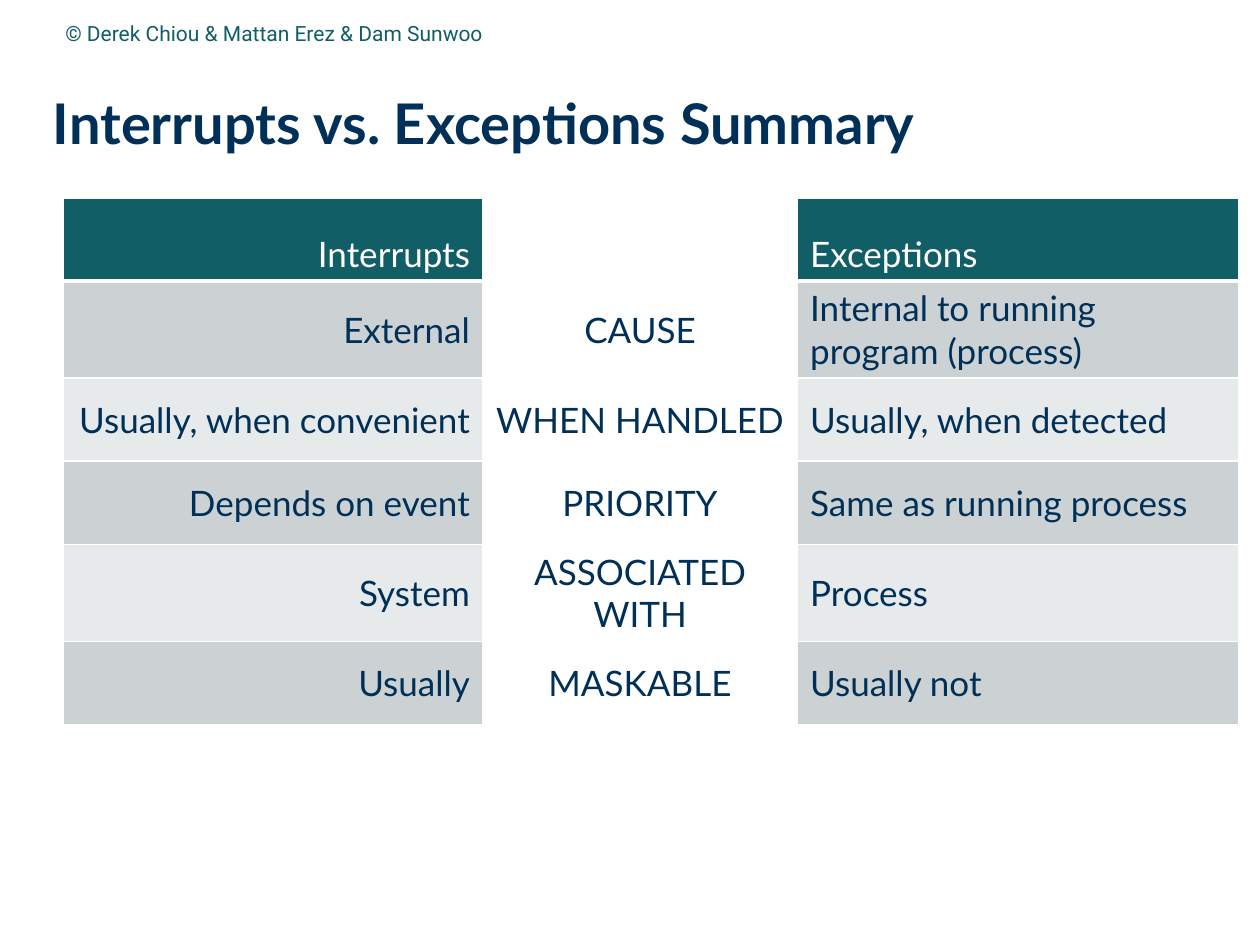
from dataclasses import dataclass

from lxml import etree
from pptx import Presentation
from pptx.dml.color import RGBColor
from pptx.enum.text import MSO_ANCHOR, PP_ALIGN
from pptx.oxml.ns import qn
from pptx.util import Inches, Pt

LEFT, CENTER, RIGHT = PP_ALIGN.LEFT, PP_ALIGN.CENTER, PP_ALIGN.RIGHT
MIDDLE, BOTTOM = MSO_ANCHOR.MIDDLE, MSO_ANCHOR.BOTTOM

COLORS = {
    "navy": "003057",
    "teal": "115E67",
    "white": "FFFFFF",
    "dark_band": "CCD2D3",
    "light_band": "E7EAEB",
}


@dataclass(frozen=True)
class Column:
    width: float
    align: PP_ALIGN
    shaded: bool


COLUMNS = [Column(3.33, RIGHT, True), Column(2.5, CENTER, False), Column(3.5, LEFT, True)]
ROWS = [
    ("Interrupts", "", "Exceptions"),
    ("External", "CAUSE", "Internal to running program (process)"),
    ("Usually, when convenient", "WHEN HANDLED", "Usually, when detected"),
    ("Depends on event", "PRIORITY", "Same as running process"),
    ("System", "ASSOCIATED WITH", "Process"),
    ("Usually", "MASKABLE", "Usually not"),
]
ROW_HEIGHT, TALL_ROW_HEIGHT = 0.66, 0.69


def write_text(frame, text: str, *, size: float, color: str, font: str = "Lato",
               bold: bool = False, align: PP_ALIGN = LEFT, spacing: float = 1.0) -> None:
    para = frame.paragraphs[0]
    para.alignment = align
    para.line_spacing = spacing
    span = para.add_run()
    span.text = text
    span.font.name = font
    span.font.size = Pt(size)
    span.font.bold = bold
    span.font.color.rgb = RGBColor.from_string(COLORS[color])


def set_borders(cell, *, bottom: float = 1) -> None:
    """Draw white cell borders; line elements must precede the fill."""
    properties = cell._tc.get_or_add_tcPr()
    widths = {"a:lnL": 1, "a:lnR": 1, "a:lnT": 1, "a:lnB": bottom}
    for index, (tag, width) in enumerate(widths.items()):
        line = etree.Element(qn(tag), w=str(Pt(width)))
        fill = etree.SubElement(line, qn("a:solidFill"))
        etree.SubElement(fill, qn("a:srgbClr"), val=COLORS["white"])
        properties.insert(index, line)


def band_color(row: int, column: Column) -> str:
    if not column.shaded:
        return "white"
    if row == 0:
        return "teal"
    return "dark_band" if row % 2 else "light_band"


def add_comparison(page) -> None:
    frame = page.shapes.add_table(len(ROWS), len(COLUMNS), Inches(0.5), Inches(1.57),
                                  Inches(9.33), Inches(4.06))
    table = frame.table
    for index, column in enumerate(COLUMNS):
        table.columns[index].width = Inches(column.width)
    for row, texts in enumerate(ROWS):
        header = row == 0
        table.rows[row].height = Inches(TALL_ROW_HEIGHT if row == 1 else ROW_HEIGHT)
        for index, (column, text) in enumerate(zip(COLUMNS, texts)):
            cell = table.cell(row, index)
            cell.vertical_anchor = BOTTOM if header else MIDDLE
            cell.fill.solid()
            cell.fill.fore_color.rgb = RGBColor.from_string(COLORS[band_color(row, column)])
            set_borders(cell, bottom=3 if header else 1)
            if text:
                write_text(cell.text_frame, text, size=20, align=column.align,
                           color="white" if header else "navy")


def main() -> None:
    deck = Presentation()
    deck.slide_width, deck.slide_height = Inches(10), Inches(7.5)
    page = deck.slides.add_slide(deck.slide_layouts[5])

    # Title
    title = page.shapes.title
    title.left, title.top = Inches(0.42), Inches(0.5)
    title.width, title.height = Inches(9.41), Inches(0.98)
    frame = title.text_frame
    frame.margin_left = frame.margin_right = frame.margin_top = frame.margin_bottom = 0
    frame.vertical_anchor = MIDDLE
    frame.word_wrap = True
    write_text(frame, "Interrupts vs. Exceptions Summary", size=32, color="navy",
               bold=True, spacing=0.99)

    # Comparison table
    add_comparison(page)

    # Copyright line
    box = page.shapes.add_textbox(Inches(0.42), Inches(0.03), Inches(5.67), Inches(0.46))
    box.text_frame.word_wrap = True
    box.text_frame.vertical_anchor = MIDDLE
    write_text(box.text_frame, "© Derek Chiou & Mattan Erez & Dam Sunwoo", size=12,
               color="teal", font="Roboto")

    deck.save("out.pptx")


if __name__ == "__main__":
    main()
